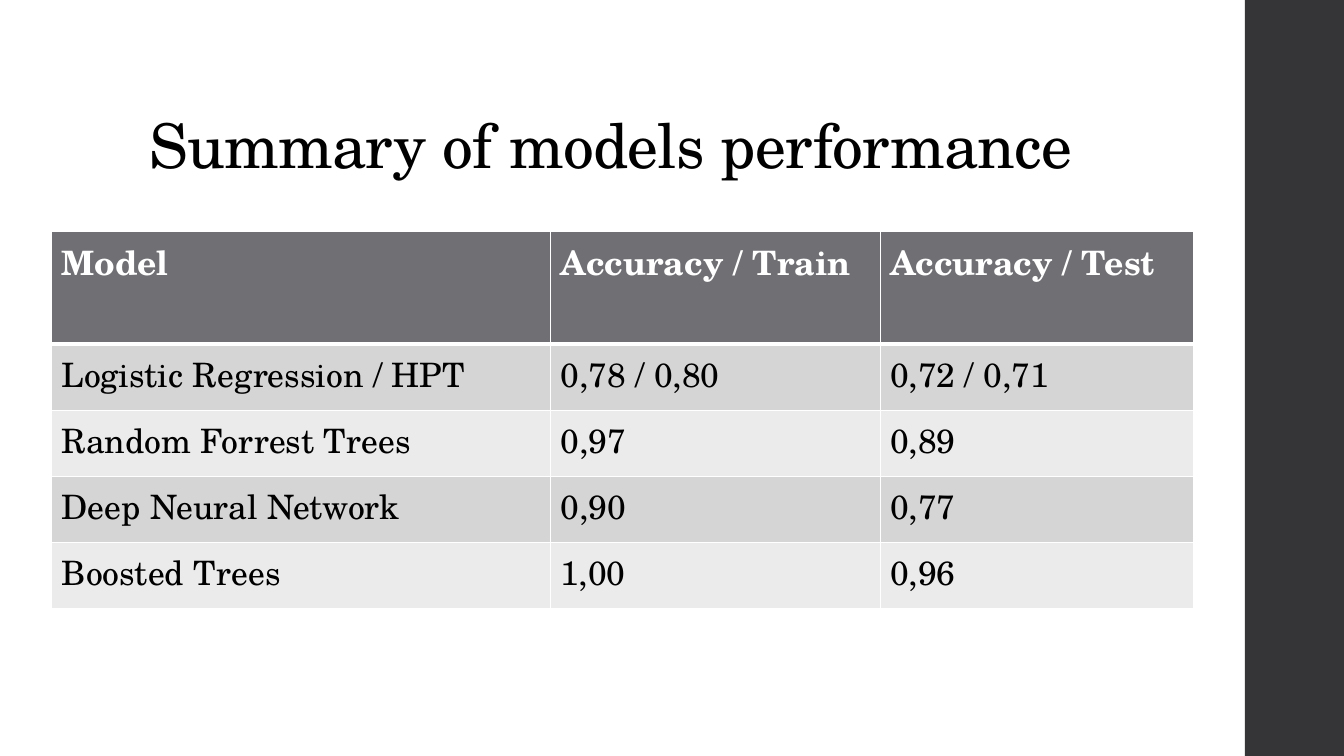
from lxml import etree
from pptx import Presentation
from pptx.dml.color import RGBColor
from pptx.enum.shapes import MSO_SHAPE
from pptx.enum.text import MSO_ANCHOR, PP_ALIGN
from pptx.oxml.ns import qn
from pptx.util import Pt

RECTANGLE = MSO_SHAPE.RECTANGLE
BOTTOM = MSO_ANCHOR.BOTTOM
LEFT = PP_ALIGN.LEFT

FONT = "TeX Gyre Schola"
COLOURS = {
    "sidebar": "353537",
    "header": "6F6F74",
    "odd": "D5D5D6",
    "even": "EBEBEB",
    "white": "FFFFFF",
    "text": "000000",
}
RESULTS = [
    ("Model", "Accuracy / Train", "Accuracy / Test"),
    ("Logistic Regression / HPT", "0,78 / 0,80", "0,72 / 0,71"),
    ("Random Forrest Trees", "0,97", "0,89"),
    ("Deep Neural Network", "0,90", "0,77"),
    ("Boosted Trees", "1,00", "0,96"),
]
COLUMN_WIDTHS = [356.4, 235.4, 223.9]
HEADER_HEIGHT, ROW_HEIGHT = 80.6, 47.2


def style_font(font, size, colour, bold=False):
    font.name = FONT
    font.size = Pt(size)
    font.bold = bold
    font.color.rgb = RGBColor.from_string(COLOURS[colour])


def add_borders(cell, bottom_width):
    """Draw white cell borders, 1 pt wide except at the bottom."""
    properties = cell._tc.get_or_add_tcPr()
    widths = {"a:lnL": 1, "a:lnR": 1, "a:lnT": 1, "a:lnB": bottom_width}
    for position, (side, width) in enumerate(widths.items()):
        line = etree.Element(qn(side), w=str(Pt(width)))
        fill = etree.SubElement(line, qn("a:solidFill"))
        etree.SubElement(fill, qn("a:srgbClr"), val=COLOURS["white"])
        properties.insert(position, line)


prs = Presentation()
prs.slide_width, prs.slide_height = Pt(960), Pt(540)
slide = prs.slides.add_slide(prs.slide_layouts[5])

sidebar = slide.shapes.add_shape(RECTANGLE, Pt(889.2), Pt(0), Pt(72), Pt(540))
sidebar.shadow.inherit = False
sidebar.fill.solid()
sidebar.fill.fore_color.rgb = RGBColor.from_string(COLOURS["sidebar"])
sidebar.line.fill.background()

title = slide.shapes.title
title.left, title.top, title.width, title.height = Pt(99.4), Pt(28.8), Pt(763.2), Pt(104.4)
title.text_frame.text = "Summary of models performance"
title.text_frame.vertical_anchor = BOTTOM
heading = title.text_frame.paragraphs[0]
heading.alignment = LEFT
heading.line_spacing = 0.9
style_font(heading.runs[0].font, 44, "text")
heading.runs[0]._r.get_or_add_rPr().set("spc", "-50")

table_height = HEADER_HEIGHT + ROW_HEIGHT * (len(RESULTS) - 1)
performance = slide.shapes.add_table(
    len(RESULTS), len(COLUMN_WIDTHS), Pt(36.9), Pt(165.2),
    Pt(sum(COLUMN_WIDTHS)), Pt(table_height),
).table
for column, width in zip(performance.columns, COLUMN_WIDTHS):
    column.width = Pt(width)

for row_index, values in enumerate(RESULTS):
    is_header = row_index == 0
    band = "header" if is_header else ("even", "odd")[row_index % 2]
    performance.rows[row_index].height = Pt(HEADER_HEIGHT if is_header else ROW_HEIGHT)
    for column_index, value in enumerate(values):
        cell = performance.cell(row_index, column_index)
        cell.text_frame.text = value
        style_font(cell.text_frame.paragraphs[0].runs[0].font, 24,
                   "white" if is_header else "text", is_header)
        cell.fill.solid()
        cell.fill.fore_color.rgb = RGBColor.from_string(COLOURS[band])
        add_borders(cell, 3 if is_header else 1)

prs.save("out.pptx")
